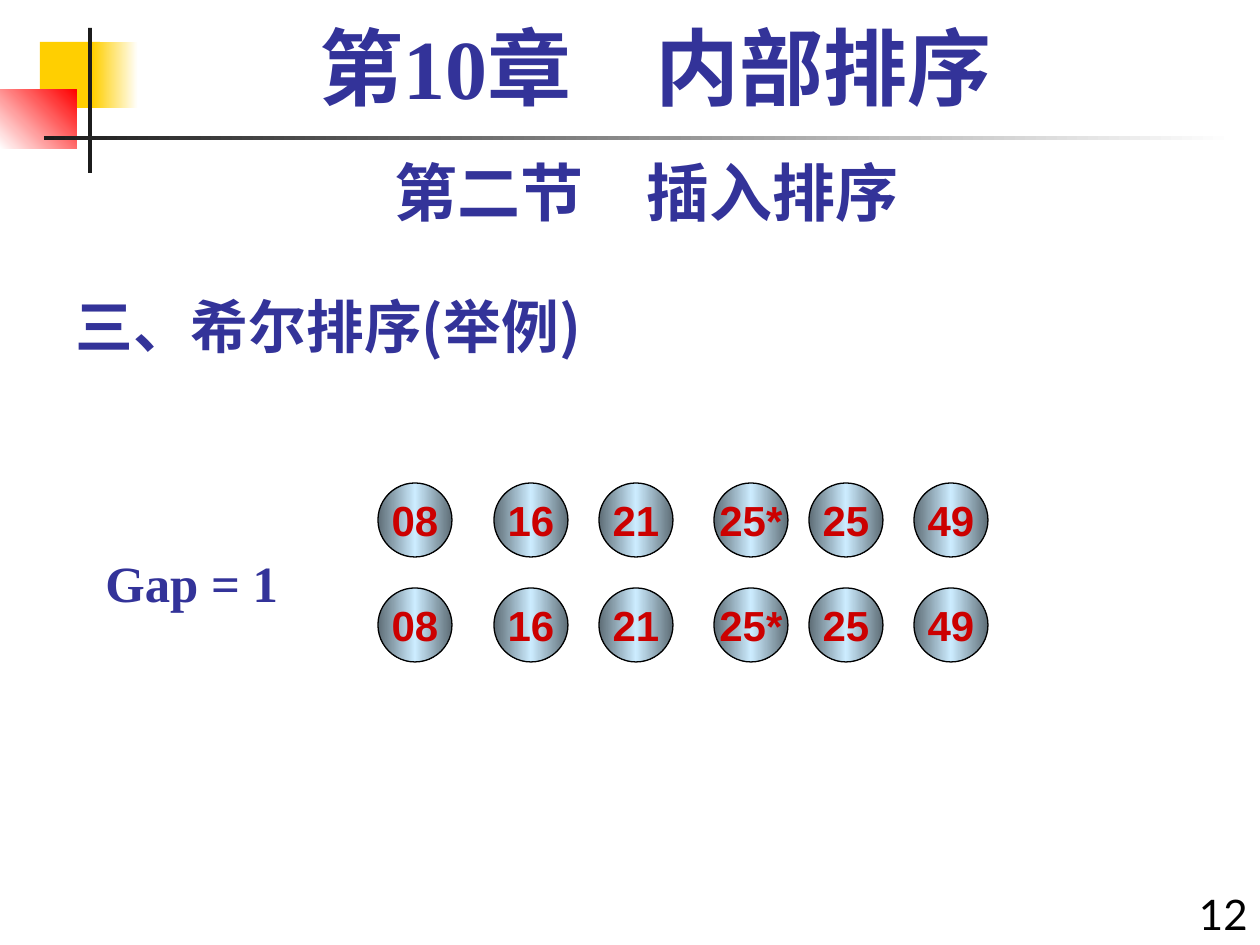
from lxml import etree
from pptx import Presentation
from pptx.dml.color import RGBColor
from pptx.enum.shapes import MSO_SHAPE
from pptx.enum.text import MSO_ANCHOR, PP_ALIGN
from pptx.oxml.ns import qn
from pptx.util import Pt

RECT, OVAL = MSO_SHAPE.RECTANGLE, MSO_SHAPE.OVAL
LEFT, CENTER, RIGHT = PP_ALIGN.LEFT, PP_ALIGN.CENTER, PP_ALIGN.RIGHT
TOP, MIDDLE, BOTTOM = MSO_ANCHOR.TOP, MSO_ANCHOR.MIDDLE, MSO_ANCHOR.BOTTOM

SCALE = 914400 / 126
CJK, SERIF, SANS, LATO = "Noto Sans CJK SC", "Times New Roman", "Arial", "Lato"
NAVY, RED, BLACK = "333399", "CC0000", "000000"
STEEL = ["5E6D76", "CCECFF", "5E6D76"]

# box, colours (several make a gradient), angle in degrees clockwise
DECOR = [
    ((40, 42, 60, 66), ["FFCF01"], 0),
    ((93, 42, 45, 66), ["FFCF01", "FFFFFF"], 0),
    ((0, 90, 77, 59), ["FFFFFF", "FF0000"], 315),
    ((88, 28, 4, 145), ["1C1C1C"], 0),
    ((44, 136, 1190, 4), ["1C1C1C", "FFFFFF"], 0),
]
LABELS = [
    ("三、希尔排序(举例)", (63, 273, 788, 93),
     dict(size=33, font=CJK, anchor=BOTTOM)),
    ("12", (1176, 882, 84, 73),
     dict(size=24, font=LATO, color=BLACK, bold=False, align=RIGHT)),
    ("第二节　插入排序", (63, 147, 1166, 88),
     dict(size=36, font=LATO, align=CENTER)),
    ("第10章　内部排序", (84, 21, 1144, 105),
     dict(size=48, font=SERIF, align=CENTER, spacing=0.9)),
    ("Gap = 1", (93, 546, 199, 73), dict(size=29, font=SERIF, wrap=False)),
]
KEYS = ["08", "16", "21", "25*", "25", "49"]
COLS = [378, 494, 599, 714, 809, 914]
ROWS = [483, 588]
BALL = 74


def emu(box):
    return [round(n * SCALE) for n in box]


def rgb(code):
    return RGBColor.from_string(code)


def paint(shape, colors, angle=0):
    """Fill with one colour, or with a gradient of evenly spaced stops."""
    if len(colors) == 1:
        shape.fill.solid()
        shape.fill.fore_color.rgb = rgb(colors[0])
        return
    grad = etree.Element(qn("a:gradFill"), rotWithShape="1")
    stops = etree.SubElement(grad, qn("a:gsLst"))
    for i, code in enumerate(colors):
        stop = etree.SubElement(stops, qn("a:gs"),
                                pos=str(100000 * i // (len(colors) - 1)))
        etree.SubElement(stop, qn("a:srgbClr"), val=code)
    etree.SubElement(grad, qn("a:lin"), ang=str(angle * 60000), scaled="0")
    shape.element.spPr.find(qn("a:prstGeom")).addnext(grad)


def add_shape(slide, kind, box, colors, angle=0, line=None):
    shape = slide.shapes.add_shape(kind, *emu(box))
    shape.shadow.inherit = False
    paint(shape, colors, angle)
    if line:
        shape.line.color.rgb = rgb(line)
        shape.line.width = Pt(0.75)
    else:
        shape.line.fill.background()
    return shape


def write(shape, text, size, font, color=NAVY, bold=True, align=LEFT,
          anchor=TOP, wrap=True, spacing=None):
    frame = shape.text_frame
    frame.word_wrap = wrap
    frame.vertical_anchor = anchor
    para = frame.paragraphs[0]
    para.alignment = align
    if spacing:
        para.line_spacing = spacing
    run = para.add_run()
    run.text = text
    run.font.size = Pt(size)
    run.font.bold = bold
    run.font.color.rgb = rgb(color)
    run.font.name = font
    latin = run.font.element if hasattr(run.font, "element") else None
    props = latin if latin is not None else para.runs[0]._r.get_or_add_rPr()
    etree.SubElement(props, qn("a:ea"), typeface=CJK)


def main():
    deck = Presentation()
    deck.slide_width, deck.slide_height = emu((1260, 945))
    slide = deck.slides.add_slide(deck.slide_layouts[6])

    for box, colors, angle in DECOR:
        add_shape(slide, RECT, box, colors, angle)
    for text, box, style in LABELS:
        write(slide.shapes.add_textbox(*emu(box)), text, **style)
    for y in ROWS:
        for x, key in zip(COLS, KEYS):
            ball = add_shape(slide, OVAL, (x, y, BALL, BALL), STEEL, line=BLACK)
            write(ball, key, size=24, font=SANS, color=RED, align=CENTER,
                  anchor=MIDDLE, wrap=False)

    deck.save("out.pptx")


if __name__ == "__main__":
    main()
